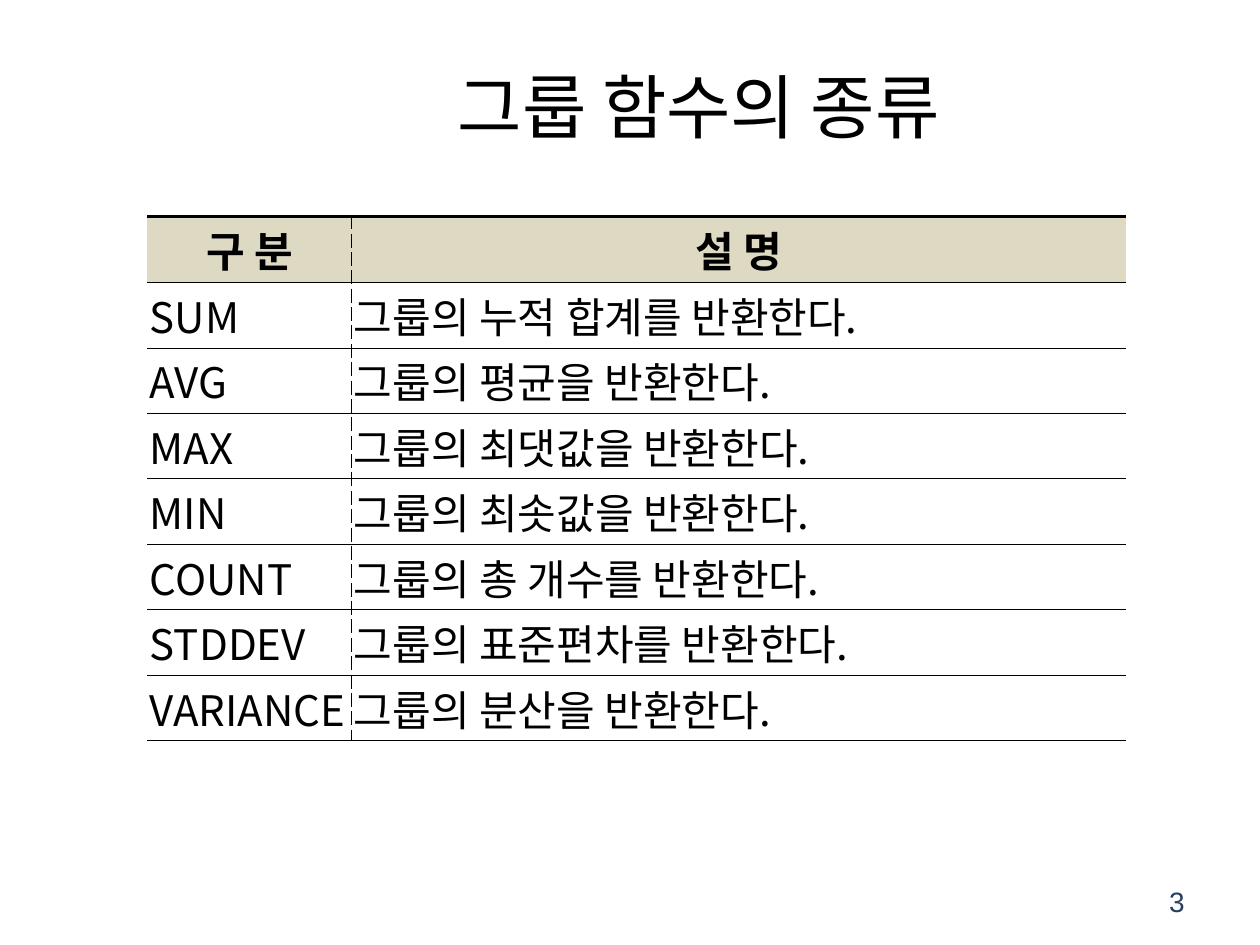
from lxml import etree
from pptx import Presentation
from pptx.dml.color import RGBColor
from pptx.enum import text
from pptx.oxml import ns
from pptx.util import Inches, Pt

BLACK = RGBColor(0x00, 0x00, 0x00)
WHITE = RGBColor(0xFF, 0xFF, 0xFF)
BEIGE = RGBColor(0xDD, 0xD9, 0xC3)
NAVY = RGBColor(0x25, 0x40, 0x61)
KOREAN = "Noto Sans CJK KR"
ALIGN = text.PP_ALIGN

HEADER = ("구 분", "설 명")
FUNCTIONS = [
    ("SUM", "그룹의 누적 합계를 반환한다."),
    ("AVG", "그룹의 평균을 반환한다."),
    ("MAX", "그룹의 최댓값을 반환한다."),
    ("MIN", "그룹의 최솟값을 반환한다."),
    ("COUNT", "그룹의 총 개수를 반환한다."),
    ("STDDEV", "그룹의 표준편차를 반환한다."),
    ("VARIANCE", "그룹의 분산을 반환한다."),
]


def write(tf, content, size, align, font=KOREAN, color=BLACK, bold=False):
    """Put one styled paragraph into a text frame."""
    p = tf.paragraphs[0]
    p.text = content
    p.alignment = align
    p.font.size = Pt(size)
    p.font.bold = bold
    p.font.color.rgb = color
    p.font.name = font
    etree.SubElement(p.font._rPr, ns.qn("a:ea"), typeface=font)


def add_text(s, box, content, size, align, **style):
    """Add a vertically centred text box."""
    tf = s.shapes.add_textbox(*map(Inches, box)).text_frame
    tf.word_wrap = True
    tf.vertical_anchor = text.MSO_ANCHOR.MIDDLE
    write(tf, content, size, align, **style)


def add_border(cell, side, width=0, dash="solid"):
    """Draw one cell border, or clear it when the width is zero."""
    ln = etree.SubElement(cell._tc.get_or_add_tcPr(), ns.qn(f"a:ln{side}"), w=str(Pt(width)))
    if not width:
        etree.SubElement(ln, ns.qn("a:noFill"))
        return
    fill = etree.SubElement(ln, ns.qn("a:solidFill"))
    etree.SubElement(fill, ns.qn("a:srgbClr"), val=str(BLACK))
    etree.SubElement(ln, ns.qn("a:prstDash"), val=dash)


def style_cell(cell, row, col):
    """Set the margins, borders and fill of a cell."""
    cell.margin_left = cell.margin_right = Inches(0.02)
    cell.margin_top = cell.margin_bottom = Inches(0.02)
    cell.vertical_anchor = text.MSO_ANCHOR.MIDDLE
    add_border(cell, "L", 0.56 if col else 0, "dash")
    add_border(cell, "R", 0 if col else 0.56, "dash")
    add_border(cell, "T", 0.25 if row else 2)
    add_border(cell, "B", 0.25)
    cell.fill.solid()
    cell.fill.fore_color.rgb = WHITE if row else BEIGE


def add_function_table(s):
    """Add the table of group functions."""
    rows = [HEADER, *FUNCTIONS]
    widths = (1.62, 6.15)
    row_height = 0.52
    table = s.shapes.add_table(
        len(rows), len(widths), Inches(1.17), Inches(1.72),
        Inches(sum(widths)), Inches(row_height * len(rows))).table
    table.horz_banding = False
    for column, width in zip(table.columns, widths):
        column.width = Inches(width)
    for i, values in enumerate(rows):
        table.rows[i].height = Inches(row_height)
        for j, value in enumerate(values):
            cell = table.cell(i, j)
            style_cell(cell, i, j)
            write(cell.text_frame, value, 24, ALIGN.JUSTIFY if i else ALIGN.CENTER, bold=i == 0)


def main():
    """Build the slide and save it."""
    prs = Presentation()
    prs.slide_width, prs.slide_height = Inches(10), Inches(7.5)
    s = prs.slides.add_slide(prs.slide_layouts[6])
    add_text(s, (1.09, 0.21, 8.91, 1.26), "그룹 함수의 종류", 40, ALIGN.CENTER)
    add_text(s, (7.17, 6.95, 2.33, 0.4), "3", 16, ALIGN.RIGHT, font="Arial", color=NAVY)
    add_function_table(s)
    prs.save("out.pptx")


if __name__ == "__main__":
    main()
